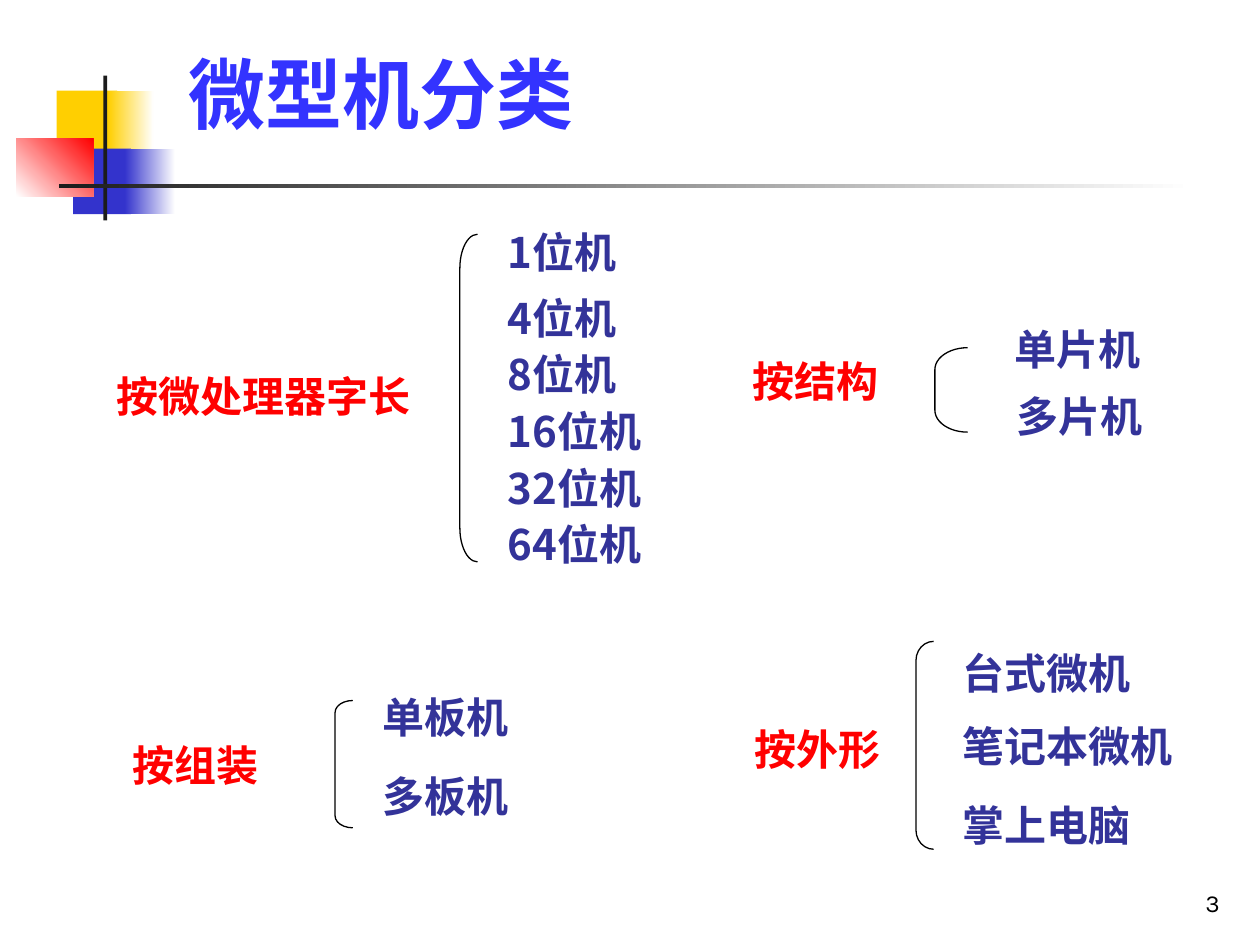
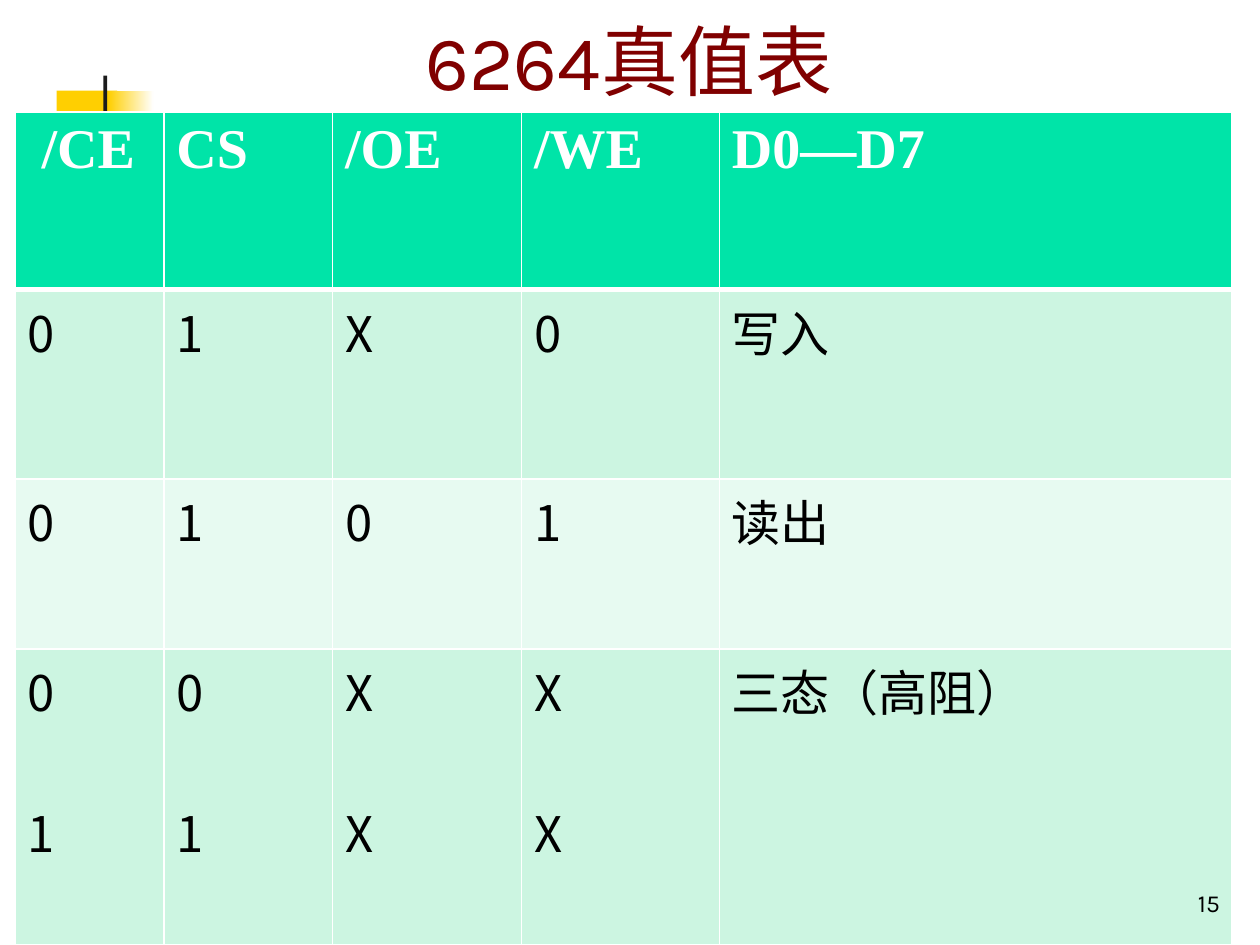
from dataclasses import dataclass

from lxml.etree import SubElement
from pptx import Presentation
from pptx.dml.color import RGBColor as RGB
from pptx.enum.shapes import MSO_SHAPE as SHAPE
from pptx.enum.text import MSO_ANCHOR as ANCHOR, MSO_AUTO_SIZE as FIT, PP_ALIGN as ALIGN
from pptx.oxml.ns import qn
from pptx.util import Inches, Pt


@dataclass(frozen=True)
class Theme:
    """Colours, fonts and type sizes of the deck."""
    yellow: str = "FFCF01"
    blue: str = "3333CC"
    red: str = "FF0000"
    ink: str = "1C1C1C"
    white: str = "FFFFFF"
    black: str = "000000"
    title: str = "3333FF"
    title_dark: str = "800000"
    item: str = "333399"
    header: str = "00E4A8"
    band: str = "CCF5E1"
    band_light: str = "E7FAF1"
    cjk: str = "Noto Sans CJK SC"
    sans: str = "Karla"
    serif: str = "Times New Roman"
    title_size: int = 44
    label_size: int = 24
    header_size: int = 32
    cell_size: int = 28
    page_size: int = 14


T = Theme()


def style(font, color, **values):
    """Set font values, the colour and the East Asian typeface."""
    font.color.rgb = RGB.from_string(color)
    for name, value in values.items():
        setattr(font, name, value)
    SubElement(font._element, qn("a:ea")).set("typeface", T.cjk)


def write(tf, lines, align=ALIGN.LEFT, gap=0, **look):
    """Fill a text frame with one styled paragraph per line."""
    for i, line in enumerate(lines):
        p = tf.add_paragraph() if i else tf.paragraphs[0]
        p.alignment = align
        p.space_before = Pt(gap if i else 0)
        r = p.add_run()
        r.text = line
        style(r.font, **look)


def add_text(shapes, box, text, anchor=ANCHOR.TOP, **look):
    """Add a wrapping text box with one line."""
    tf = shapes.add_textbox(*map(Inches, box)).text_frame
    tf.word_wrap = True
    tf.vertical_anchor = anchor
    write(tf, [text], **look)


def add_title(slide, box, text, **look):
    """Place and format the title placeholder."""
    sp = slide.shapes.title
    values = dict(zip(("left", "top", "width", "height"), map(Inches, box)))
    for name, value in values.items():
        setattr(sp, name, value)
    tf = sp.text_frame
    for name, value in dict(word_wrap=True, auto_size=FIT.NONE,
                            vertical_anchor=ANCHOR.BOTTOM).items():
        setattr(tf, name, value)
    write(tf, [text], size=Pt(T.title_size), **look)


def add_page(slide, number):
    """Add the page number at the lower right."""
    add_text(slide.shapes, (7.7, 6.83, 2.08, 0.5), number, ANCHOR.BOTTOM,
             align=ALIGN.RIGHT, color=T.black, size=Pt(T.page_size), name=T.sans)


def add_block(shapes, box, colors, angle=0):
    """Add a rectangle with a solid fill, or a gradient for two colours."""
    s = shapes.add_shape(SHAPE.RECTANGLE, *map(Inches, box))
    s.shadow.inherit = False
    s.line.fill.background()
    if len(colors) == 1:
        s.fill.solid()
        s.fill.fore_color.rgb = RGB.from_string(colors[0])
    else:
        s.fill.gradient()
        s.fill.gradient_angle = angle
        for stop, color in zip(s.fill.gradient_stops, colors):
            stop.color.rgb = RGB.from_string(color)
    return s


def add_emblem(layout, slide):
    """Build the colour blocks and rules and hand them to the layout."""
    blocks = [
        ((0.45, 0.72, 0.48, 0.52), [T.yellow]),
        ((0.86, 0.72, 0.36, 0.52), [T.yellow, T.white]),
        ((0.58, 1.18, 0.46, 0.52), [T.blue]),
        ((0.99, 1.18, 0.4, 0.52), [T.blue, T.white]),
        ((0.13, 1.1, 0.61, 0.46), [T.white, T.red], 45),
        ((0.82, 0.6, 0.03, 1.15), [T.ink]),
        ((0.47, 1.46, 9, 0.03), [T.ink, T.white]),
    ]
    for block in blocks:
        layout.shapes.element.append(add_block(slide.shapes, *block).element)


def add_bracket(shapes, box, curve):
    """Add a thin left bracket."""
    s = shapes.add_shape(SHAPE.LEFT_BRACKET, *map(Inches, box))
    s.shadow.inherit = False
    s.adjustments[0] = curve
    s.fill.background()
    s.line.color.rgb = RGB.from_string(T.black)
    s.line.width = Pt(0.75)


def add_class(slide, label, box, bracket, curve, width, items, font):
    """Add a group: red label, bracket and its kinds as (text, left, top)."""
    shapes = slide.shapes.add_group_shape().shapes
    look = dict(size=Pt(T.label_size), bold=True, name=font)
    add_text(shapes, box, label, color=T.red, **look)
    add_bracket(shapes, bracket, curve)
    for text, left, top in items:
        add_text(shapes, (left, top, width, 0.5), text, color=T.item, **look)


def set_border(cell, side, width):
    """Draw a white border on one side of a cell."""
    ln = SubElement(cell._tc.get_or_add_tcPr(), qn(f"a:ln{side}"), w=str(Pt(width)))
    fill = SubElement(ln, qn("a:solidFill"))
    SubElement(fill, qn("a:srgbClr"), val=T.white)


def add_grid(slide, left, top, widths, heights, rows):
    """Add the table with a header and alternating bands."""
    size = Inches(sum(widths)), Inches(sum(heights))
    table = slide.shapes.add_table(len(rows), len(widths), Inches(left),
                                   Inches(top), *size).table
    for col, width in zip(table.columns, widths):
        col.width = Inches(width)
    head = dict(color=T.white, size=Pt(T.header_size), bold=True, name=T.serif)
    body = dict(color=T.black, size=Pt(T.cell_size), bold=False, name=T.cjk, gap=40)
    for i, (row, height, texts) in enumerate(zip(table.rows, heights, rows)):
        row.height = Inches(height)
        fill = (T.band if i % 2 else T.band_light) if i else T.header
        for cell, text in zip(row.cells, texts):
            write(cell.text_frame, text.split("\n"), **(body if i else head))
            for side in "LRTB":
                set_border(cell, side, 3 if (i, side) in ((0, "B"), (1, "T")) else 1)
            cell.fill.solid()
            cell.fill.fore_color.rgb = RGB.from_string(fill)


def build_classes(slide):
    """Fill the slide on classes of microcomputers."""
    add_title(slide, (1.26, 0.23, 8.52, 0.92), " 微型机分类",
              color=T.title, bold=True, name=T.cjk)
    add_page(slide, "3")
    bits = [("1位机", 3.93, 1.75)]
    bits += [(f"{n}位机", 3.93, 2.27 + 0.45 * i) for i, n in enumerate((4, 8, 16, 32, 64))]
    add_class(slide, "按微处理器字长", (0.83, 2.89, 2.61, 0.5),
              (3.65, 1.86, 0.14, 2.6), 1.92, 1.58, bits, T.cjk)
    add_class(slide, "按结构", (5.87, 2.77, 1.72, 0.5),
              (7.42, 2.76, 0.26, 0.67), 0.67, 1.58,
              [("单片机", 7.95, 2.52), ("多片机", 7.97, 3.05)], T.cjk)
    add_class(slide, "按组装", (0.95, 5.82, 1.57, 0.5),
              (2.66, 5.56, 0.14, 1.01), 0.67, 1.71,
              [("单板机", 2.94, 5.44), ("多板机", 2.94, 6.07)], T.serif)
    add_class(slide, "按外形", (5.89, 5.69, 1.52, 0.5),
              (7.27, 5.09, 0.14, 1.65), 1.08, 2.21,
              [("台式微机", 7.54, 5.09), ("笔记本微机", 7.54, 5.67),
               ("掌上电脑", 7.54, 6.3)], T.serif)


def build_truth_table(slide):
    """Fill the slide with the truth table."""
    add_title(slide, (0.2, -0.03, 9.58, 0.92), "6264真值表", align=ALIGN.CENTER,
              color=T.title_dark, bold=False, name=T.sans)
    rows = [
        (" /CE", "CS", "/OE", "/WE", "D0—D7"),
        ("0", "1", "X", "0", "写入"),
        ("0", "1", "0", "1", "读出"),
        ("0\n1", "0\n1", "X\nX", "X\nX", "三态（高阻）"),
    ]
    add_grid(slide, 0.12, 0.89, (1.18, 1.34, 1.5, 1.57, 4.07),
             (1.41, 1.5, 1.35, 2.35), rows)
    add_page(slide, "15")


def main():
    """Build and save the deck."""
    prs = Presentation()
    prs.slide_width, prs.slide_height = Inches(10), Inches(7.5)
    layout = prs.slide_layouts[5]
    classes, truth = (prs.slides.add_slide(layout) for _ in range(2))
    add_emblem(layout, classes)
    build_classes(classes)
    build_truth_table(truth)
    prs.save("out.pptx")


if __name__ == "__main__":
    main()
